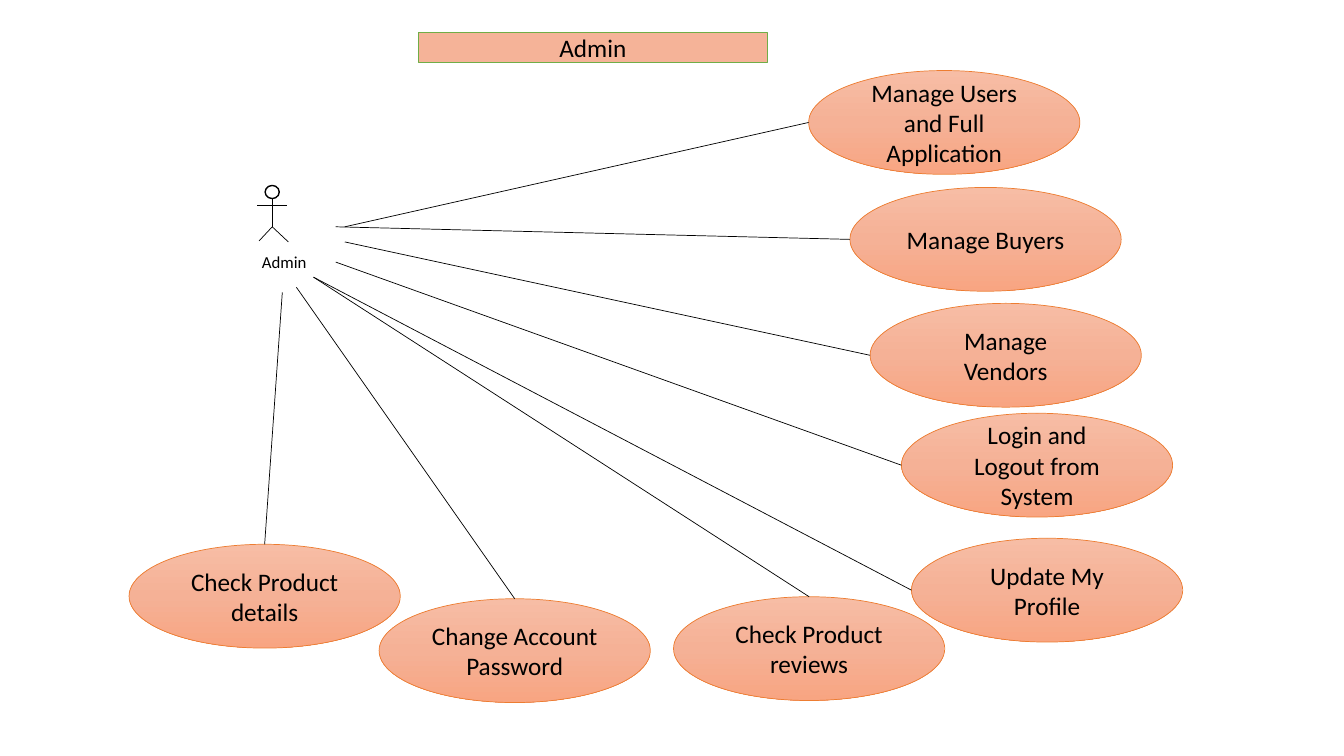
from copy import deepcopy

from pptx import Presentation
from pptx.dml.color import RGBColor
from pptx.enum.shapes import MSO_CONNECTOR, MSO_SHAPE
from pptx.enum.text import MSO_ANCHOR, PP_ALIGN
from pptx.oxml.ns import qn
from pptx.util import Inches, Pt
from lxml import etree

BLACK = RGBColor(0x00, 0x00, 0x00)
WHITE = RGBColor(0xFF, 0xFF, 0xFF)
PEACH = RGBColor(0xF5, 0xB3, 0x98)
GREEN = RGBColor(0x70, 0xAD, 0x47)
ORANGE = RGBColor(0xED, 0x7D, 0x31)
GRADIENT = [(0, RGBColor(0xF7, 0xBD, 0xA5)),
            (50, RGBColor(0xF5, 0xB1, 0x96)),
            (100, RGBColor(0xF8, 0xA5, 0x82))]
OVAL_W, OVAL_H = 2.69, 1.03
TOP, LEFT = 0, 2  # connection sites of an ellipse


def set_text(sp, text, size=18, align=PP_ALIGN.CENTER, anchor=MSO_ANCHOR.MIDDLE):
    tf = sp.text_frame
    tf.word_wrap = True
    tf.vertical_anchor = anchor
    p = tf.paragraphs[0]
    p.alignment = align
    r = p.add_run()
    r.text = text
    r.font.name = "Calibri"
    r.font.size = Pt(size)
    r.font.color.rgb = BLACK


def add_line(x1, y1, x2, y2):
    line = slide.shapes.add_connector(
        MSO_CONNECTOR.STRAIGHT, Inches(x1), Inches(y1), Inches(x2), Inches(y2))
    line.line.color.rgb = BLACK
    line.line.width = Pt(0.5)
    etree.SubElement(line._element.spPr, qn("a:effectLst"))
    return line


prs = Presentation()
prs.slide_width, prs.slide_height = Inches(13.33), Inches(7.5)
slide = prs.slides.add_slide(prs.slide_layouts[5])

# Title bar
title = slide.shapes.title
title.left, title.top = Inches(4.15), Inches(0.32)
title.width, title.height = Inches(3.46), Inches(0.3)
title.fill.solid()
title.fill.fore_color.rgb = PEACH
title.line.color.rgb = GREEN
title.line.width = Pt(0.5)
set_text(title, "Admin")

# Actor: head, body, arms, legs and name
head = slide.shapes.add_shape(
    MSO_SHAPE.OVAL, Inches(2.63), Inches(1.84), Inches(0.14), Inches(0.13))
head.shadow.inherit = False
head.fill.solid()
head.fill.fore_color.rgb = WHITE
head.line.color.rgb = BLACK
head.line.width = Pt(1)
for limb in [(2.7, 1.97, 2.7, 2.25), (2.55, 2.04, 2.85, 2.04),
             (2.7, 2.25, 2.86, 2.4), (2.7, 2.25, 2.57, 2.39)]:
    add_line(*limb)
name = slide.shapes.add_textbox(Inches(2.5), Inches(2.45), Inches(1.22), Inches(0.3))
set_text(name, "Admin", size=12, align=PP_ALIGN.LEFT, anchor=MSO_ANCHOR.TOP)

# Use cases: text, oval position, line start, side the line reaches
use_cases = [
    ("Manage Users and Full Application", 8.02, 0.7, 3.42, 2.25, LEFT),
    ("Manage Buyers", 8.43, 1.86, 3.33, 2.25, LEFT),
    ("Manage Vendors", 8.63, 3.01, 3.42, 2.4, LEFT),
    ("Login and Logout from System", 8.94, 4.1, 3.33, 2.6, LEFT),
    ("Update My Profile", 9.04, 5.34, 3.11, 2.75, LEFT),
    ("Change Account Password", 3.76, 5.94, 2.94, 2.85, TOP),
    ("Check Product details", 1.28, 5.4, 2.8, 2.9, TOP),
    ("Check Product reviews", 6.68, 5.92, 3.11, 2.75, TOP),
]
for text, x, y, start_x, start_y, site in use_cases:
    oval = slide.shapes.add_shape(
        MSO_SHAPE.OVAL, Inches(x), Inches(y), Inches(OVAL_W), Inches(OVAL_H))
    oval.shadow.inherit = False
    oval.line.color.rgb = ORANGE
    oval.line.width = Pt(0.5)
    set_text(oval, text)

    # Three-stop gradient running downwards
    oval.fill.gradient()
    oval.fill.gradient_angle = 270
    first = oval._element.spPr.find(".//" + qn("a:gs"))
    first.addnext(deepcopy(first))
    for stop, (percent, color) in zip(oval.fill.gradient_stops, GRADIENT):
        stop.position = percent / 100
        stop.color.rgb = color

    # Line from the actor, glued to the oval
    end_x, end_y = (x, y + OVAL_H / 2) if site == LEFT else (x + OVAL_W / 2, y)
    line = add_line(start_x, start_y, end_x, end_y)
    line.end_connect(oval, site)
    line.end_x, line.end_y = Inches(end_x), Inches(end_y)

prs.save("out.pptx")
